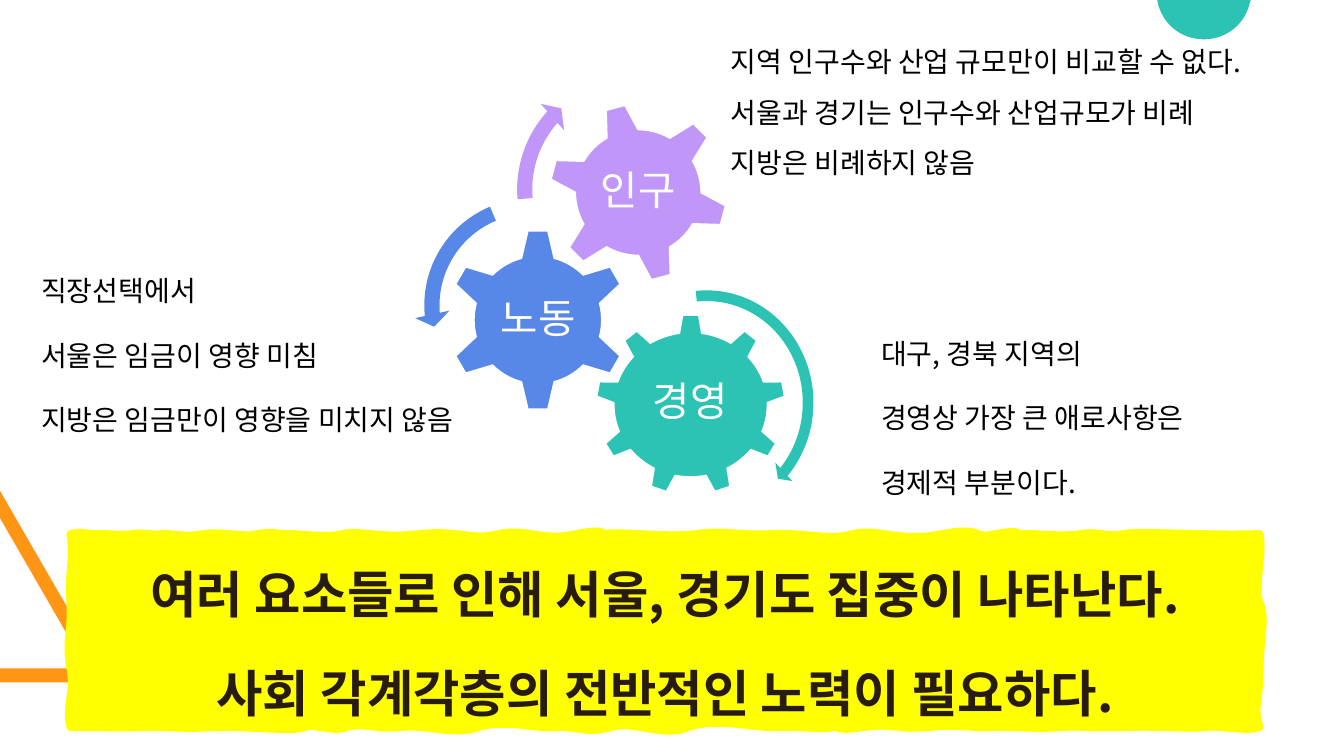
from dataclasses import dataclass

from lxml import etree
from pptx import Presentation
from pptx.dml.color import RGBColor
from pptx.enum.shapes import MSO_SHAPE
from pptx.enum.text import MSO_ANCHOR, PP_ALIGN
from pptx.oxml.ns import qn
from pptx.util import Inches, Pt

GEAR_6, GEAR_9 = MSO_SHAPE.GEAR_6, MSO_SHAPE.GEAR_9
ARC_RIGHT, ARC_LEFT = MSO_SHAPE.CIRCULAR_ARROW, MSO_SHAPE.LEFT_CIRCULAR_ARROW
TOP, MIDDLE = MSO_ANCHOR.TOP, MSO_ANCHOR.MIDDLE
CENTER, LEFT = PP_ALIGN.CENTER, PP_ALIGN.LEFT

WHITE = RGBColor(0xFF, 0xFF, 0xFF)
BLACK = RGBColor(0x00, 0x00, 0x00)
BROWN = RGBColor(0x28, 0x1B, 0x10)
YELLOW = RGBColor(0xFF, 0xFF, 0x00)
ORANGE = RGBColor(0xFF, 0x95, 0x14)
TEAL = RGBColor(0x2C, 0xC3, 0xB4)
BLUE = RGBColor(0x58, 0x88, 0xE7)
PURPLE = RGBColor(0xC0, 0x97, 0xF8)

KOREAN_FONT, LABEL_FONT = "Noto Sans CJK KR", "Roboto"
UNITS_PER_INCH = 1000

Box = tuple[float, float, float, float]
# A step is a line end (x, y) or a curve (two control points and the end)
Step = tuple[float, ...]


@dataclass
class Factor:
    name: str
    color: RGBColor
    gear: MSO_SHAPE
    gear_box: Box
    label_box: Box
    arrow: MSO_SHAPE
    arrow_box: Box
    arrow_adjustments: tuple[float, ...]
    rotation: float = 0


@dataclass
class Remark:
    box: Box
    paragraphs: list[str]


FACTORS = [
    Factor("경영", TEAL, GEAR_9, (5.91, 3.12, 1.88, 1.79), (6.28, 3.54, 1.13, 0.92),
           ARC_RIGHT, (5.88, 2.81, 2.26, 2.37), (0.047, 2.99, 25.151, 158.635, 0.055)),
    Factor("노동", BLUE, GEAR_6, (4.43, 2.27, 1.81, 1.81), (4.89, 2.73, 0.9, 0.9),
           ARC_LEFT, (4.11, 1.87, 2.32, 2.32), (0.065, 4.3, 104.891, 148.378, 0.075)),
    Factor("인구", PURPLE, GEAR_6, (5.44, 1.02, 1.78, 1.78), (5.83, 1.41, 1, 1),
           ARC_RIGHT, (5.03, 0.63, 2.5, 2.5), (0.06, 3.941, 133.138, 105.082, 0.07), 345),
]

REMARKS = [
    Remark((7.15, 0.23, 5.97, 1.76),
           ["지역 인구수와 산업 규모만이 비교할 수 없다.\v"
            "서울과 경기는 인구수와 산업규모가 비례\v지방은 비례하지 않음"]),
    Remark((8.64, 3.12, 4.06, 1.85),
           ["대구, 경북 지역의", "경영상 가장 큰 애로사항은", "경제적 부분이다."]),
    Remark((0.31, 2.5, 5.07, 1.95),
           ["직장선택에서", "서울은 임금이 영향 미침", "지방은 임금만이 영향을 미치지 않음"]),
]

CONCLUSION = ["여러 요소들로 인해 서울, 경기도 집중이 나타난다.",
              "사회 각계각층의 전반적인 노력이 필요하다."]

TRIANGLE = [(0, 6.77), (0, 6.63), (0.86, 6.63), (0, 5.14), (0, 4.87), (1.04, 6.67),
            (1.05, 6.68, 1.05, 6.69, 1.05, 6.7), (1.05, 6.74, 1.02, 6.77, 0.98, 6.77)]
DOT = [(11.48, 0), (12.41, 0), (12.4, 0.01), (12.36, 0.23, 12.17, 0.39, 11.94, 0.39),
       (11.71, 0.39, 11.52, 0.23, 11.48, 0.01)]

# Banner edges as curves: two control points (x, y, x, y), then the end along the edge
BANNER_LEFT, BANNER_TOP, BANNER_RIGHT, BANNER_BOTTOM = 0.7, 5.3, 12.49, 7.21
TOP_WAVES = [
    (0.81, 5.27, 0.88, 5.31, 1), (1.13, 5.3, 1.21, 5.32, 1.31), (1.4, 5.28, 1.54, 5.32, 1.61),
    (1.67, 5.29, 1.83, 5.34, 2.03), (2.22, 5.27, 2.39, 5.34, 2.56), (2.74, 5.27, 2.74, 5.31, 2.86),
    (2.99, 5.3, 3.24, 5.34, 3.4), (3.56, 5.26, 3.79, 5.35, 4.17), (4.56, 5.26, 4.67, 5.37, 4.95),
    (5.22, 5.24, 5.38, 5.38, 5.72), (6.06, 5.23, 5.96, 5.33, 6.02), (6.08, 5.27, 6.64, 5.34, 6.91),
    (7.18, 5.26, 7.32, 5.32, 7.68), (8.04, 5.29, 8.21, 5.37, 8.46), (8.71, 5.24, 8.92, 5.39, 9.35),
    (9.77, 5.22, 9.63, 5.36, 9.88), (10.14, 5.25, 10.05, 5.31, 10.19),
    (10.32, 5.3, 10.56, 5.33, 10.72), (10.89, 5.27, 11.03, 5.34, 11.14),
    (11.25, 5.27, 12.04, 5.32, 12.49),
]
RIGHT_WAVES = [(12.53, 5.52, 12.43, 5.82, 5.98), (12.56, 6.14, 12.49, 6.33, 6.65),
               (12.49, 6.98, 12.42, 7.01, 7.21)]
BOTTOM_WAVES = [
    (12.38, 7.26, 12.08, 7.19, 11.95), (11.83, 7.23, 11.53, 7.2, 11.18),
    (10.83, 7.22, 10.74, 7.2, 10.53), (10.31, 7.23, 10.16, 7.21, 9.87),
    (9.59, 7.22, 9.53, 7.18, 9.22), (8.91, 7.24, 8.86, 7.17, 8.56), (8.26, 7.26, 8.32, 7.19, 8.26),
    (8.2, 7.24, 7.89, 7.2, 7.72), (7.56, 7.23, 7.09, 7.11, 6.83), (6.58, 7.32, 6.29, 7.14, 6.06),
    (5.83, 7.28, 5.71, 7.2, 5.52), (5.33, 7.23, 4.98, 7.13, 4.75), (4.52, 7.3, 4.2, 7.18, 3.98),
    (3.76, 7.24, 3.56, 7.16, 3.44), (3.32, 7.27, 3.12, 7.17, 3.02), (2.93, 7.26, 2.41, 7.2, 2.13),
    (1.85, 7.23, 1.74, 7.21, 1.48), (1.21, 7.22, 0.94, 7.21, 0.7),
]
LEFT_WAVES = [(0.65, 6.99, 0.75, 6.87, 6.62), (0.65, 6.36, 0.72, 6.24, 5.96),
              (0.68, 5.68, 0.74, 5.51, 5.3)]
BANNER = [(BANNER_LEFT, BANNER_TOP),
          *[(*wave, BANNER_TOP) for wave in TOP_WAVES],
          *[(*wave[:4], BANNER_RIGHT, wave[4]) for wave in RIGHT_WAVES],
          *[(*wave, BANNER_BOTTOM) for wave in BOTTOM_WAVES],
          *[(*wave[:4], BANNER_LEFT, wave[4]) for wave in LEFT_WAVES]]


def paint(shape, fill: RGBColor, line: RGBColor | None = None, width: float = 1) -> None:
    shape.shadow.inherit = False
    shape.fill.solid()
    shape.fill.fore_color.rgb = fill
    if line is None:
        shape.line.fill.background()
    else:
        shape.line.color.rgb = line
        shape.line.width = Pt(width)


def add_outline(slide, steps: list[Step]):
    ends = [(step[-2] * UNITS_PER_INCH, step[-1] * UNITS_PER_INCH) for step in steps]
    builder = slide.shapes.build_freeform(*ends[0], scale=Inches(1) / UNITS_PER_INCH)
    builder.add_line_segments(ends[1:], close=True)
    outline = builder.convert_to_shape()
    left, top = min(x for x, _ in ends), min(y for _, y in ends)

    # Turn the segments that have control points into curves
    segments = list(outline._element.iter(qn("a:lnTo")))
    for segment, step in zip(segments, steps[1:]):
        if len(step) == 6:
            segment.tag = qn("a:cubicBezTo")
            for position, index in enumerate((0, 2)):
                control = etree.Element(qn("a:pt"))
                control.set("x", str(round(step[index] * UNITS_PER_INCH - left)))
                control.set("y", str(round(step[index + 1] * UNITS_PER_INCH - top)))
                segment.insert(position, control)
    return outline


def write(frame, lines: list[str], font: str, size: float, color: RGBColor,
          spacing: float, align=LEFT, bold: bool = False) -> None:
    frame.word_wrap = True
    for index, line in enumerate(lines):
        paragraph = frame.paragraphs[0] if index == 0 else frame.add_paragraph()
        paragraph.text = line
        paragraph.alignment = align
        paragraph.line_spacing = spacing
        if index:
            paragraph.space_before = Pt(10)
        paragraph.font.name, paragraph.font.size = font, Pt(size)
        paragraph.font.bold, paragraph.font.color.rgb = bold, color


def add_gear(slide, factor: Factor) -> None:
    gear = slide.shapes.add_shape(factor.gear, *map(Inches, factor.gear_box))
    gear.rotation = factor.rotation
    paint(gear, factor.color, WHITE)
    label = slide.shapes.add_textbox(*map(Inches, factor.label_box)).text_frame
    label.vertical_anchor = MIDDLE
    label.margin_left = label.margin_right = Inches(0.04)
    label.margin_top = label.margin_bottom = Inches(0.04)
    write(label, [factor.name], LABEL_FONT, 29, WHITE, 0.9, CENTER)


def add_arrow(slide, factor: Factor) -> None:
    arrow = slide.shapes.add_shape(factor.arrow, *map(Inches, factor.arrow_box))
    for index, value in enumerate(factor.arrow_adjustments):
        arrow.adjustments[index] = value
    paint(arrow, factor.color)


def main() -> None:
    deck = Presentation()
    deck.slide_width, deck.slide_height = Inches(13.33), Inches(7.5)
    slide = deck.slides.add_slide(deck.slide_layouts[6])

    # Corner decorations
    paint(add_outline(slide, TRIANGLE), ORANGE)
    paint(add_outline(slide, DOT), TEAL)

    # Gears and their arrows
    for factor in FACTORS:
        add_gear(slide, factor)
    for factor in FACTORS:
        add_arrow(slide, factor)

    # Remarks beside the gears
    for remark in REMARKS:
        frame = slide.shapes.add_textbox(*map(Inches, remark.box)).text_frame
        write(frame, remark.paragraphs, KOREAN_FONT, 20, BLACK, 1.5)

    # Conclusion banner
    banner = add_outline(slide, BANNER)
    paint(banner, YELLOW, YELLOW, 6)
    banner.text_frame.vertical_anchor = TOP
    write(banner.text_frame, CONCLUSION, KOREAN_FONT, 36, BROWN, 1.4, CENTER, bold=True)

    deck.save("out.pptx")


if __name__ == "__main__":
    main()
